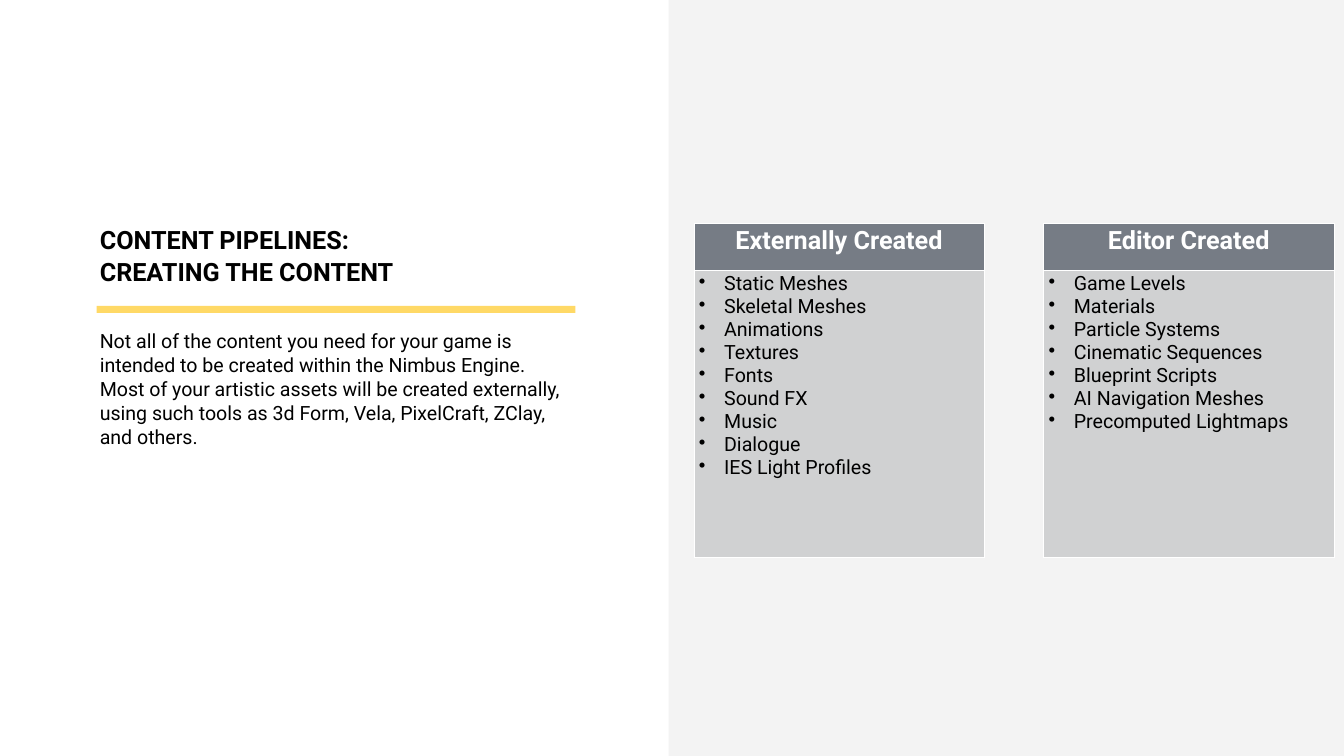
from lxml.etree import SubElement
from pptx import Presentation
from pptx.dml.color import RGBColor
from pptx.enum.shapes import MSO_SHAPE
from pptx.enum.text import MSO_ANCHOR, MSO_AUTO_SIZE, PP_ALIGN
from pptx.oxml.ns import qn
from pptx.util import Inches, Pt


def color(value):
    return RGBColor.from_string(value)


class SlideBuilder:
    font = "Roboto"
    black, white = "000000", "FFFFFF"
    panel, accent = "F3F3F3", "FFD966"
    header, cell = "767C85", "D0D1D2"
    heading_size, text_size = 36, 28

    def __init__(self, page):
        self.page = page

    def add_text(self, para, text, size, ink, bold=False):
        span = para.add_run()
        span.text = text
        span.font.name = self.font
        span.font.size = Pt(size)
        span.font.bold = bold
        span.font.color.rgb = color(ink)

    def paragraphs(self, frame, lines):
        for index, line in enumerate(lines):
            yield frame.paragraphs[0] if index == 0 else frame.add_paragraph(), line

    def bullet(self, para, mark=None, indent=0):
        properties = para._p.get_or_add_pPr()
        properties.set("marL", str(Inches(indent)))
        properties.set("indent", str(-Inches(indent)))
        if mark:
            SubElement(properties, qn("a:buChar")).set("char", mark)
        else:
            SubElement(properties, qn("a:buNone"))

    def placeholder(self, box, at, lines, size, anchor, spacing, bold=False):
        box.left, box.top, box.width, box.height = map(Inches, at)
        frame = box.text_frame
        frame.word_wrap = True
        frame.auto_size = MSO_AUTO_SIZE.SHAPE_TO_FIT_TEXT
        frame.vertical_anchor = anchor
        frame.margin_left = frame.margin_right = Inches(0.06)
        frame.margin_top = frame.margin_bottom = Inches(0.06)
        for para, line in self.paragraphs(frame, lines):
            self.bullet(para)
            para.alignment = PP_ALIGN.LEFT
            para.space_before = Pt(0)
            para.line_spacing = spacing
            self.add_text(para, line, size, self.black, bold)

    def rectangle(self, at, fill):
        shape = self.page.shapes.add_shape(MSO_SHAPE.RECTANGLE, *map(Inches, at))
        shape.shadow.inherit = False
        shape.fill.solid()
        shape.fill.fore_color.rgb = color(fill)
        shape.line.fill.background()

    def style_cell(self, cell, fill):
        properties = cell._tc.get_or_add_tcPr()
        for side in ("a:lnL", "a:lnR", "a:lnT", "a:lnB"):
            border = SubElement(properties, qn(side), w=str(Pt(1)))
            paint = SubElement(border, qn("a:solidFill"))
            SubElement(paint, qn("a:srgbClr"), val=self.white)
        cell.fill.solid()
        cell.fill.fore_color.rgb = color(fill)

    def list_table(self, left, top, width, heights, heading, items):
        frame = self.page.shapes.add_table(
            2, 1, *map(Inches, (left, top, width, sum(heights))))
        table = frame.table
        for row, height in zip(table.rows, heights):
            row.height = Inches(height)
        head, body = table.cell(0, 0), table.cell(1, 0)
        self.style_cell(head, self.header)
        self.style_cell(body, self.cell)

        para = head.text_frame.paragraphs[0]
        para.alignment = PP_ALIGN.CENTER
        self.add_text(para, heading, self.heading_size, self.white, True)
        for para, item in self.paragraphs(body.text_frame, items):
            self.bullet(para, "•", 0.5)
            self.add_text(para, item, self.text_size, self.black)


def main():
    deck = Presentation()
    deck.slide_width, deck.slide_height = Inches(26.67), Inches(15)
    page = deck.slides.add_slide(deck.slide_layouts[1])
    builder = SlideBuilder(page)

    # Right-hand panel
    builder.rectangle((13.27, 0, 13.4, 15), builder.panel)

    # Title, rule and introduction
    builder.placeholder(
        page.shapes.title, (1.92, 4.43, 9.81, 1.32),
        ["CONTENT PIPELINES:", "CREATING THE CONTENT"],
        builder.heading_size, MSO_ANCHOR.BOTTOM, 1.05, bold=True)
    builder.rectangle((1.92, 6.07, 9.5, 0.14), builder.accent)
    builder.placeholder(
        page.placeholders[1], (1.92, 6.46, 9.31, 2.47),
        ["Not all of the content you need for your game is intended to be "
         "created within the Nimbus Engine. Most of your artistic assets will "
         "be created externally, using such tools as 3d Form, Vela, "
         "PixelCraft, ZClay, and others."],
        builder.text_size, MSO_ANCHOR.TOP, 1.02)

    # Content lists, side by side
    lists = {
        "Externally Created": [
            "Static Meshes", "Skeletal Meshes", "Animations", "Textures",
            "Fonts", "Sound FX", "Music", "Dialogue", "IES Light Profiles"],
        "Editor Created": [
            "Game Levels", "Materials", "Particle Systems",
            "Cinematic Sequences", "Blueprint Scripts",
            "AI Navigation Meshes", "Precomputed Lightmaps"],
    }
    for column, (heading, items) in enumerate(lists.items()):
        builder.list_table(13.77 + column * 6.94, 4.43, 5.76, (0.93, 5.7),
                           heading, items)

    deck.save("out.pptx")


if __name__ == "__main__":
    main()
